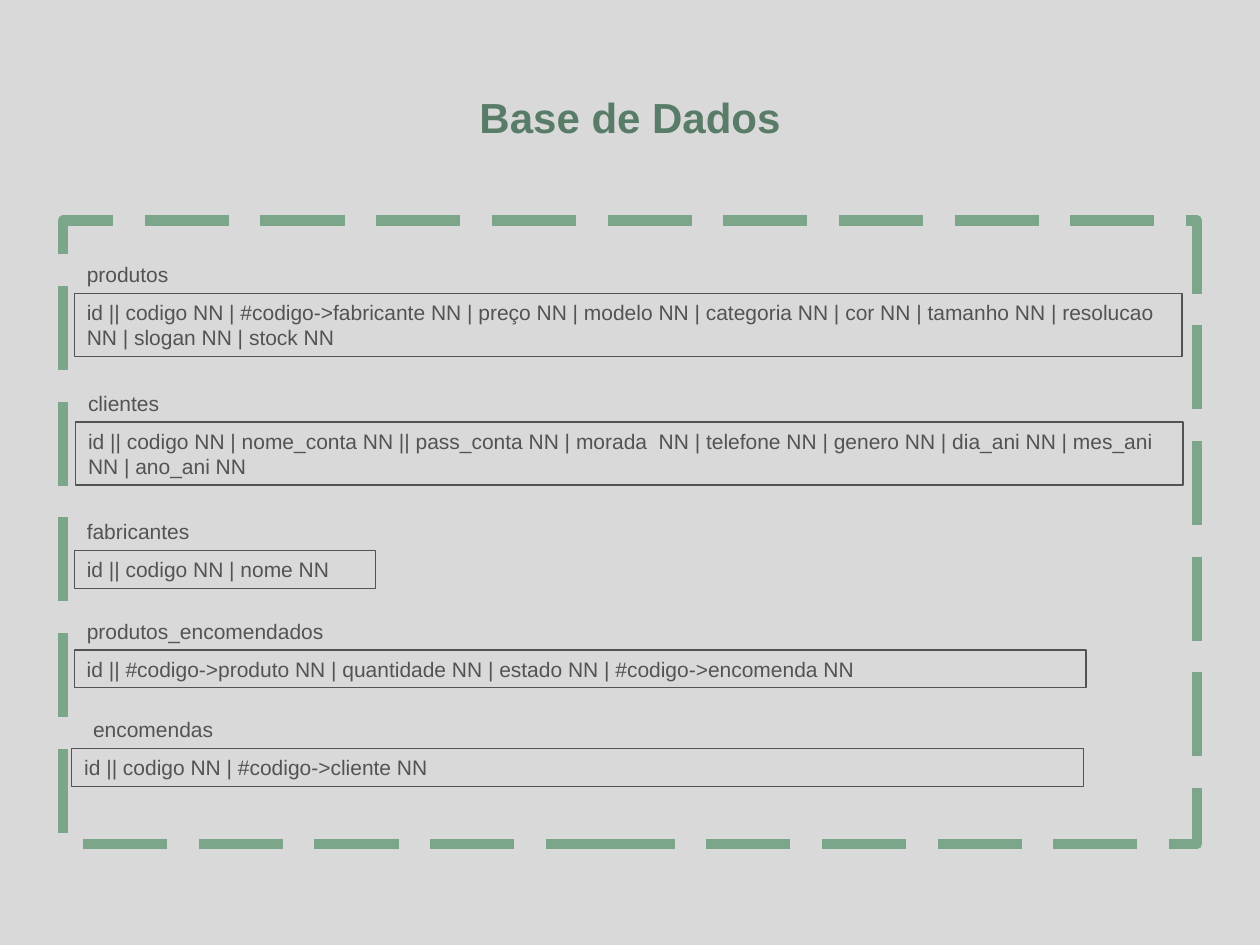
from pptx import Presentation
from pptx import util as u
from pptx.dml.color import RGBColor
from pptx.enum import dml, shapes, text

GREEN, DARK_GREEN, GREY, BACKGROUND = "7CA689", "597C68", "535355", "D9D9D9"


def color(hex_string):
    return RGBColor.from_string(hex_string)


def write(sp, content, size, hex_string, align, anchor, bold=False):
    tf = sp.text_frame
    tf.word_wrap = True
    tf.vertical_anchor = anchor
    p = tf.paragraphs[0]
    p.alignment = align
    r = p.add_run()
    r.text = content
    r.font.name = "Arial"
    r.font.size = u.Pt(size)
    r.font.bold = bold
    r.font.color.rgb = color(hex_string)


prs = Presentation()
prs.slide_width, prs.slide_height = u.Inches(10), u.Inches(7.5)
s = prs.slides.add_slide(prs.slide_layouts[5])
s.background.fill.solid()
s.background.fill.fore_color.rgb = color(BACKGROUND)

title = s.shapes.title
title.left, title.top = u.Inches(0.5), u.Inches(0.3)
title.width, title.height = u.Inches(9), u.Inches(1.25)
write(title, "Base de Dados", 24, DARK_GREEN, text.PP_ALIGN.CENTER,
      text.MSO_ANCHOR.MIDDLE, bold=True)

frame = s.shapes.add_shape(shapes.MSO_SHAPE.RECTANGLE, u.Inches(0.5), u.Inches(1.75),
                           u.Inches(9), u.Inches(4.95))
frame.shadow.inherit = False
frame.fill.background()
frame.line.color.rgb = color(GREEN)
frame.line.width = u.Pt(6)
frame.line.dash_style = dml.MSO_LINE.LONG_DASH

# name, name left, name width, fields, box left, box top, box width, box height
tables = [
    ("produtos", 0.59, 1.81,
     "id || codigo NN | #codigo->fabricante NN | preço NN | modelo NN | categoria NN | "
     "cor NN | tamanho NN | resolucao NN | slogan NN | stock NN",
     0.59, 2.33, 8.79, 0.5),
    ("clientes", 0.6, 1.81,
     "id || codigo NN | nome_conta NN || pass_conta NN | morada  NN | telefone NN | "
     "genero NN | dia_ani NN | mes_ani NN | ano_ani NN",
     0.6, 3.35, 8.79, 0.5),
    ("fabricantes", 0.59, 1.81, "id || codigo NN | nome NN", 0.59, 4.37, 2.39, 0.3),
    ("produtos_encomendados", 0.59, 2.39,
     "id || #codigo->produto NN | quantidade NN | estado NN | #codigo->encomenda NN",
     0.59, 5.16, 8.03, 0.3),
    ("encomendas", 0.64, 1.81, "id || codigo NN | #codigo->cliente NN",
     0.57, 5.94, 8.03, 0.3),
]
NAME_HEIGHT = 0.3
LEFT, TOP = text.PP_ALIGN.LEFT, text.MSO_ANCHOR.TOP

for name, name_left, name_width, fields, left, top, width, height in tables:
    label = s.shapes.add_textbox(u.Inches(name_left), u.Inches(top - NAME_HEIGHT),
                                 u.Inches(name_width), u.Inches(NAME_HEIGHT))
    write(label, name, 12, GREY, LEFT, TOP)

    box = s.shapes.add_shape(shapes.MSO_SHAPE.RECTANGLE, u.Inches(left), u.Inches(top),
                             u.Inches(width), u.Inches(height))
    box.shadow.inherit = False
    box.fill.background()
    box.line.color.rgb = color(GREY)
    box.line.width = u.Pt(0.75)
    write(box, fields, 12, GREY, LEFT, TOP)

prs.save("out.pptx")
